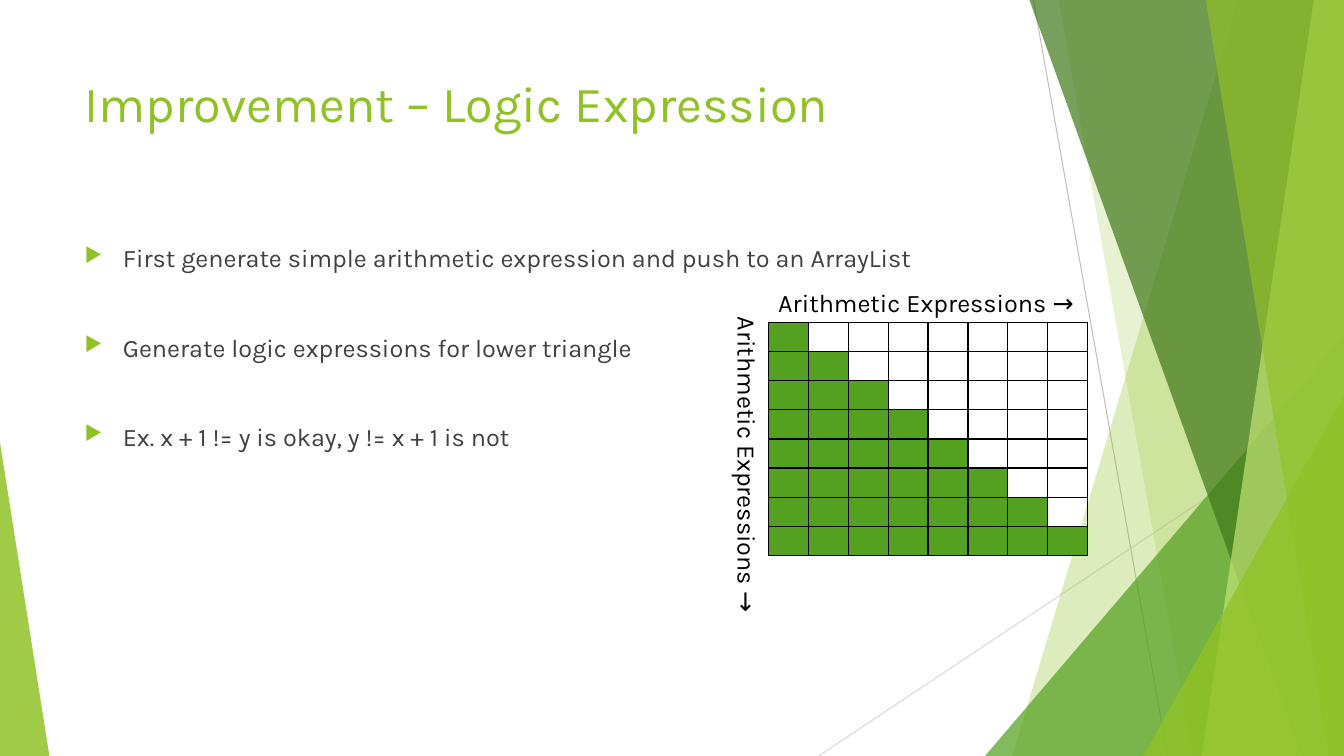
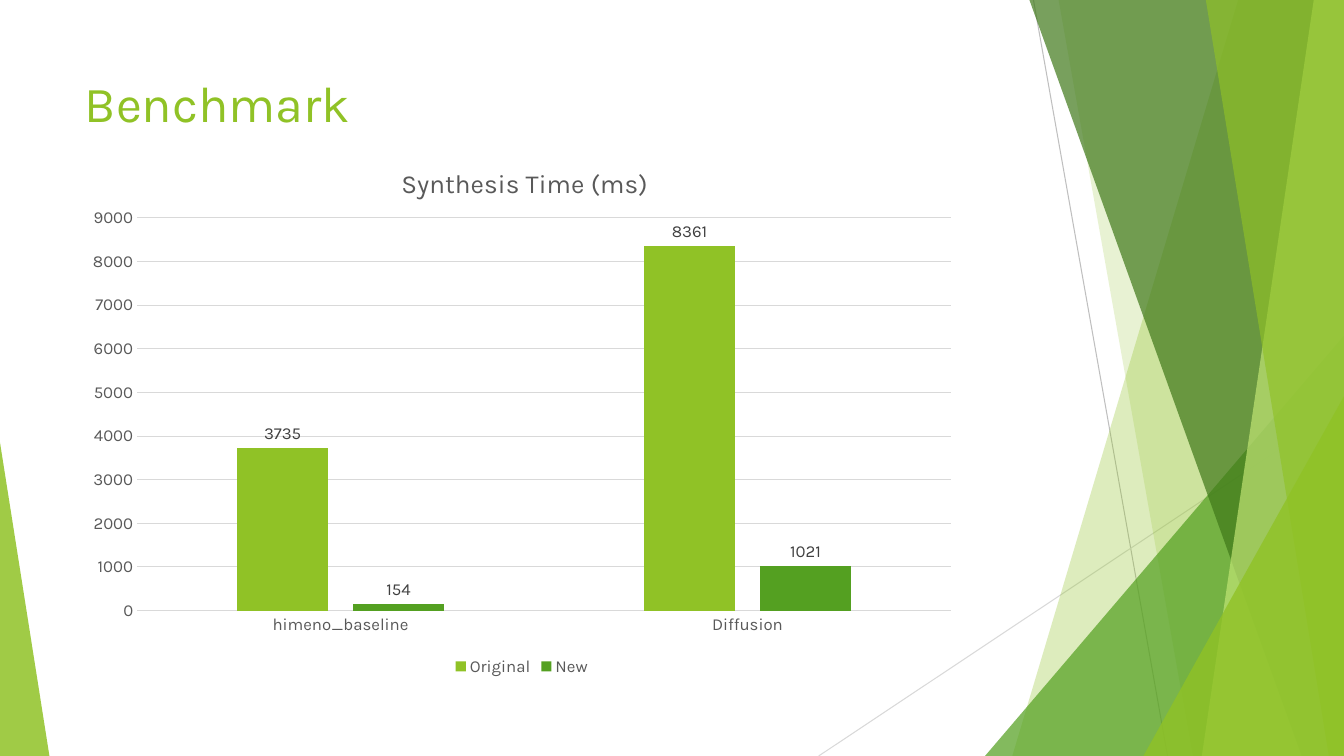
from dataclasses import dataclass

from lxml.etree import SubElement
from pptx import Presentation
from pptx.chart.data import CategoryChartData
from pptx.dml.color import RGBColor
from pptx.enum.chart import XL_CHART_TYPE, XL_LABEL_POSITION, XL_LEGEND_POSITION, XL_TICK_MARK
from pptx.enum.shapes import MSO_CONNECTOR, MSO_SHAPE
from pptx.enum.text import MSO_ANCHOR, MSO_AUTO_SIZE, PP_ALIGN
from pptx.oxml.ns import qn
from pptx.util import Inches, Pt


@dataclass(frozen=True)
class Theme:
    font: str = "Karla"
    lime: str = "90C226"
    green: str = "54A021"
    forest: str = "3F7819"
    pale: str = "C0E474"
    text: str = "404040"
    muted: str = "595959"
    grid: str = "D9D9D9"
    gray: str = "BFBFBF"
    black: str = "000000"
    title_size: float = 36
    body_size: float = 18
    chart_title_size: float = 18.6
    chart_size: float = 12


T = Theme()
W, H = 13.33, 7.5
LEFT = 0.74

LINES = [((10.25, 0), (11.58, H), T.gray), ((W, 4.03), (8.12, H), T.grid)]
BANDS = [
    ("band", 12.28, 10.04, T.lime, 30),
    ("band", 10.5, 11.83, T.lime, 20),
    ("triangle", (9.77, 3.33, W - 9.77, H - 3.33), 1, T.green, 72),
    ("band", 10.21, 12.91, T.forest, 70),
    ("band", 13.03, 11.92, T.pale, 70),
    ("band", 11.96, 13.18, T.lime, 65),
    ("triangle", (11.34, 3.93, W - 11.34, H - 3.93), 1, T.lime, 80),
    ("triangle", (0, 4.39, 0.49, H - 4.39), 0, T.lime, 85),
]

TITLES = ["Improvement – Logic Expression", "Benchmark"]
BULLETS = [
    "First generate simple arithmetic expression and push to an ArrayList",
    "Generate logic expressions for lower triangle",
    "Ex. x + 1 != y is okay, y != x + 1 is not",
]
AXIS_LABEL = "Arithmetic Expressions →"
AXIS_LABELS = [((7.62, 2.8, 3.49, 0.4), 0), ((5.84, 4.42, 3.15, 0.4), 90)]
GRID_COUNT = 8
GRID_BOX = (7.62, 3.2, 3.17, 2.31)

CHART_TITLE = "Synthesis Time (ms)"
CHART_BOX = (LEFT, 1.39, 8.87, 5.36)
CATEGORIES = ["himeno_baseline", "Diffusion"]
SERIES = [("Original", (3735, 8361), T.lime), ("New", (154, 1021), T.green)]


def rgb(color):
    return RGBColor.from_string(color)


def box(values):
    return [Inches(v) for v in values]


def style_font(font, size, color):
    font.name = T.font
    font.size = Pt(size)
    font.color.rgb = rgb(color)
    font.bold = False


def add_run(p, text, size, color):
    r = p.add_run()
    r.text = text
    style_font(r.font, size, color)


def paint(sp, color, opacity):
    sp.shadow.inherit = False
    sp.fill.solid()
    sp.fill.fore_color.rgb = rgb(color)
    clr = sp.element.spPr.find(".//" + qn("a:srgbClr"))
    SubElement(clr, qn("a:alpha"), val=str(opacity * 1000))
    sp.line.fill.background()


def add_backdrop(slide, layout):
    group = slide.shapes.add_group_shape()
    for start, end, color in LINES:
        line = group.shapes.add_connector(MSO_CONNECTOR.STRAIGHT, *box(start + end))
        line.line.color.rgb = rgb(color)
        line.line.width = Pt(0.75)
        SubElement(line.element.spPr, qn("a:effectLst"))
    for kind, place, end, color, opacity in BANDS:
        if kind == "band":
            outline = group.shapes.build_freeform(Inches(place), 0)
            outline.add_line_segments(
                [box(pt) for pt in ((W, 0), (W, H), (end, H))], close=True)
            sp = outline.convert_to_shape()
        else:
            sp = group.shapes.add_shape(MSO_SHAPE.ISOSCELES_TRIANGLE, *box(place))
            sp.adjustments[0] = end
        paint(sp, color, opacity)
    for number, el in enumerate(group.element.iter(qn("p:cNvPr")), 100):
        el.set("id", str(number))
    layout.shapes.element.insert(2, group.element)


def set_title(slide, text):
    sp = slide.shapes.title
    sp.left, sp.top, sp.width, sp.height = box((LEFT, 0.67, 9.4, 1.44))
    tf = sp.text_frame
    tf.auto_size = MSO_AUTO_SIZE.NONE
    tf.word_wrap = True
    tf.vertical_anchor = MSO_ANCHOR.TOP
    p = tf.paragraphs[0]
    p.alignment = PP_ALIGN.LEFT
    add_run(p, text, T.title_size, T.lime)


def add_bullets(slide):
    tf = slide.shapes.add_textbox(*box((LEFT, 2.36, 9.4, 4.24))).text_frame
    tf.word_wrap = True
    for i, text in enumerate(BULLETS):
        p = tf.paragraphs[0] if i == 0 else tf.add_paragraph()
        p.space_after = Pt(42)
        add_run(p, text, T.body_size, T.text)
        pPr = p._p.get_or_add_pPr()
        pPr.set("marL", str(Inches(0.38)))
        pPr.set("indent", str(-Inches(0.38)))
        SubElement(SubElement(pPr, qn("a:buClr")), qn("a:srgbClr"), val=T.lime)
        SubElement(pPr, qn("a:buSzPct"), val="80000")
        SubElement(pPr, qn("a:buChar"), char="▶")


def add_axis_label(slide, place, rotation):
    sp = slide.shapes.add_textbox(*box(place))
    sp.rotation = rotation
    tf = sp.text_frame
    tf.word_wrap = True
    tf.margin_right = 0
    add_run(tf.paragraphs[0], AXIS_LABEL, T.body_size, T.black)


def format_cell(cell, filled):
    cell.margin_left = cell.margin_right = cell.margin_top = cell.margin_bottom = 0
    SubElement(cell.text_frame.paragraphs[0]._p, qn("a:endParaRPr"), sz="1000")
    tcPr = cell._tc.get_or_add_tcPr()
    for side in ("lnL", "lnR", "lnT", "lnB"):
        ln = SubElement(tcPr, qn("a:" + side), w=str(Pt(1)))
        SubElement(SubElement(ln, qn("a:solidFill")), qn("a:srgbClr"), val=T.black)
    if filled:
        cell.fill.solid()
        cell.fill.fore_color.rgb = rgb(T.green)
    else:
        cell.fill.background()


def add_triangle_table(slide):
    table = slide.shapes.add_table(GRID_COUNT, GRID_COUNT, *box(GRID_BOX)).table
    table.first_row = table.horz_banding = False
    for col in table.columns:
        col.width = Inches(GRID_BOX[2] / GRID_COUNT)
    for row in table.rows:
        row.height = Inches(GRID_BOX[3] / GRID_COUNT)
    for i in range(GRID_COUNT):
        for j in range(GRID_COUNT):
            format_cell(table.cell(i, j), j <= i)


def set_layout(parent, index, inner=False, **shares):
    old = parent.find(qn("c:layout"))
    if old is not None:
        parent.remove(old)
    layout = parent.makeelement(qn("c:layout"))
    parent.insert(index, layout)
    manual = SubElement(layout, qn("c:manualLayout"))
    if inner:
        SubElement(manual, qn("c:layoutTarget"), val="inner")
    for name in ("xMode", "yMode"):
        SubElement(manual, qn("c:" + name), val="edge")
    for name, share in shares.items():
        SubElement(manual, qn("c:" + name), val=str(share))


def add_benchmark_chart(slide):
    data = CategoryChartData()
    data.categories = CATEGORIES
    for name, values, _ in SERIES:
        data.add_series(name, values)
    chart = slide.shapes.add_chart(
        XL_CHART_TYPE.COLUMN_CLUSTERED, *box(CHART_BOX), data).chart
    style_font(chart.font, 10, T.black)

    chart.has_title = True
    p = chart.chart_title.text_frame.paragraphs[0]
    add_run(p, CHART_TITLE, T.chart_title_size, T.muted)
    title = chart.chart_title._element
    set_layout(title, 1, x=0.36, y=0.04)
    plot_area = title.getparent().find(qn("c:plotArea"))
    set_layout(plot_area, 0, inner=True, x=0.07, y=0.144, w=0.91, h=0.727)

    chart.has_legend = True
    chart.legend.position = XL_LEGEND_POSITION.BOTTOM
    chart.legend.include_in_layout = False
    style_font(chart.legend.font, T.chart_size, T.muted)

    for axis in (chart.category_axis, chart.value_axis):
        axis.major_tick_mark = axis.minor_tick_mark = XL_TICK_MARK.NONE
        style_font(axis.tick_labels.font, T.chart_size, T.muted)
    chart.value_axis.format.line.fill.background()
    for line in (chart.category_axis.format.line,
                 chart.value_axis.major_gridlines.format.line):
        line.color.rgb = rgb(T.grid)
        line.width = Pt(0.75)

    plot = chart.plots[0]
    plot.gap_width = 219
    plot.overlap = -27
    plot.vary_by_categories = False
    for series, (_, _, color) in zip(plot.series, SERIES):
        series.format.fill.solid()
        series.format.fill.fore_color.rgb = rgb(color)
        labels = series.data_labels
        labels.show_value = True
        labels.position = XL_LABEL_POSITION.OUTSIDE_END
        style_font(labels.font, T.chart_size, T.text)


def main():
    prs = Presentation()
    prs.slide_width, prs.slide_height = box((W, H))
    layout = prs.slide_layouts[5]
    logic, benchmark = [prs.slides.add_slide(layout) for _ in TITLES]
    add_backdrop(logic, layout)
    for slide, text in zip((logic, benchmark), TITLES):
        set_title(slide, text)

    add_bullets(logic)
    add_triangle_table(logic)
    for place, rotation in AXIS_LABELS:
        add_axis_label(logic, place, rotation)

    add_benchmark_chart(benchmark)
    prs.save("out.pptx")


if __name__ == "__main__":
    main()
